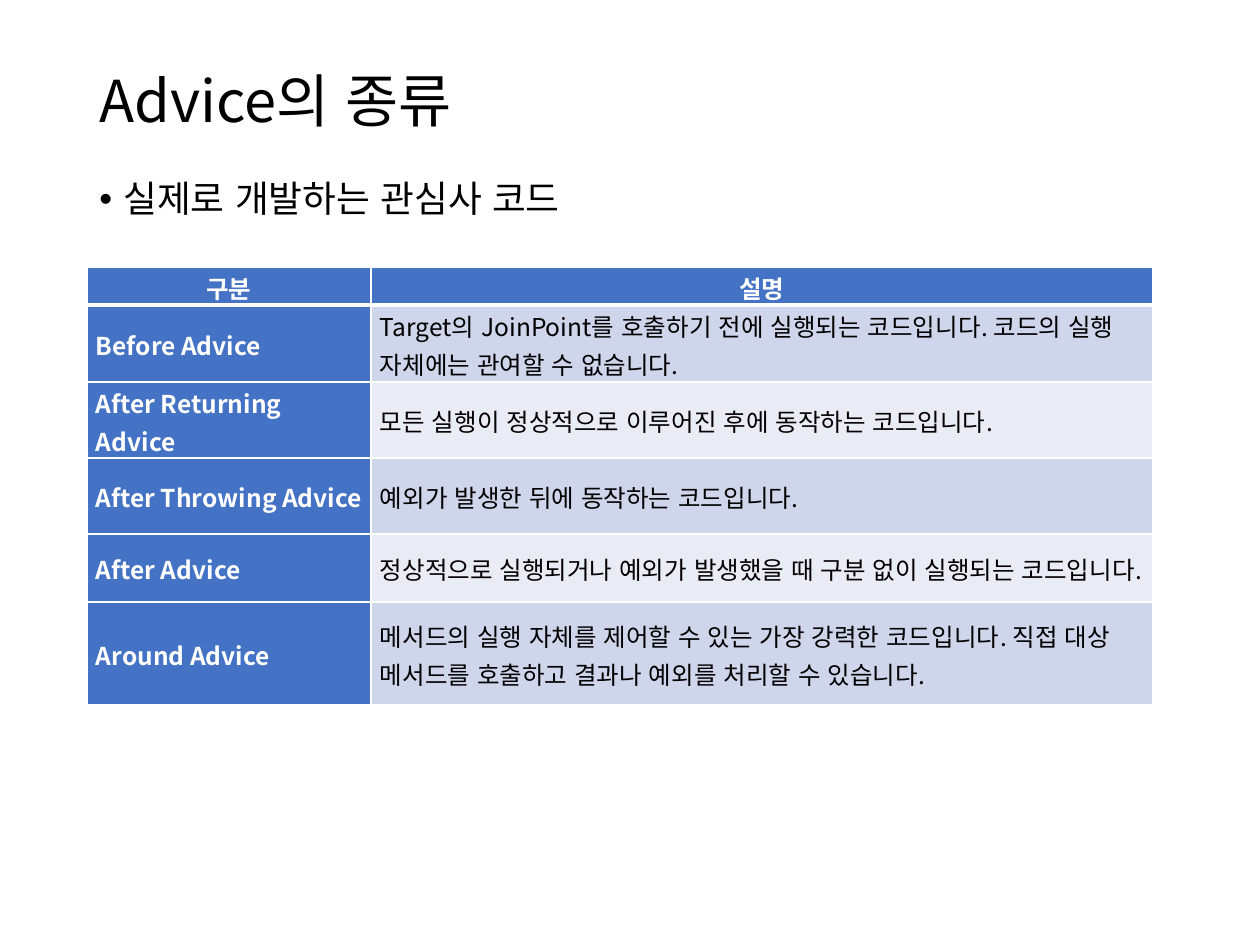
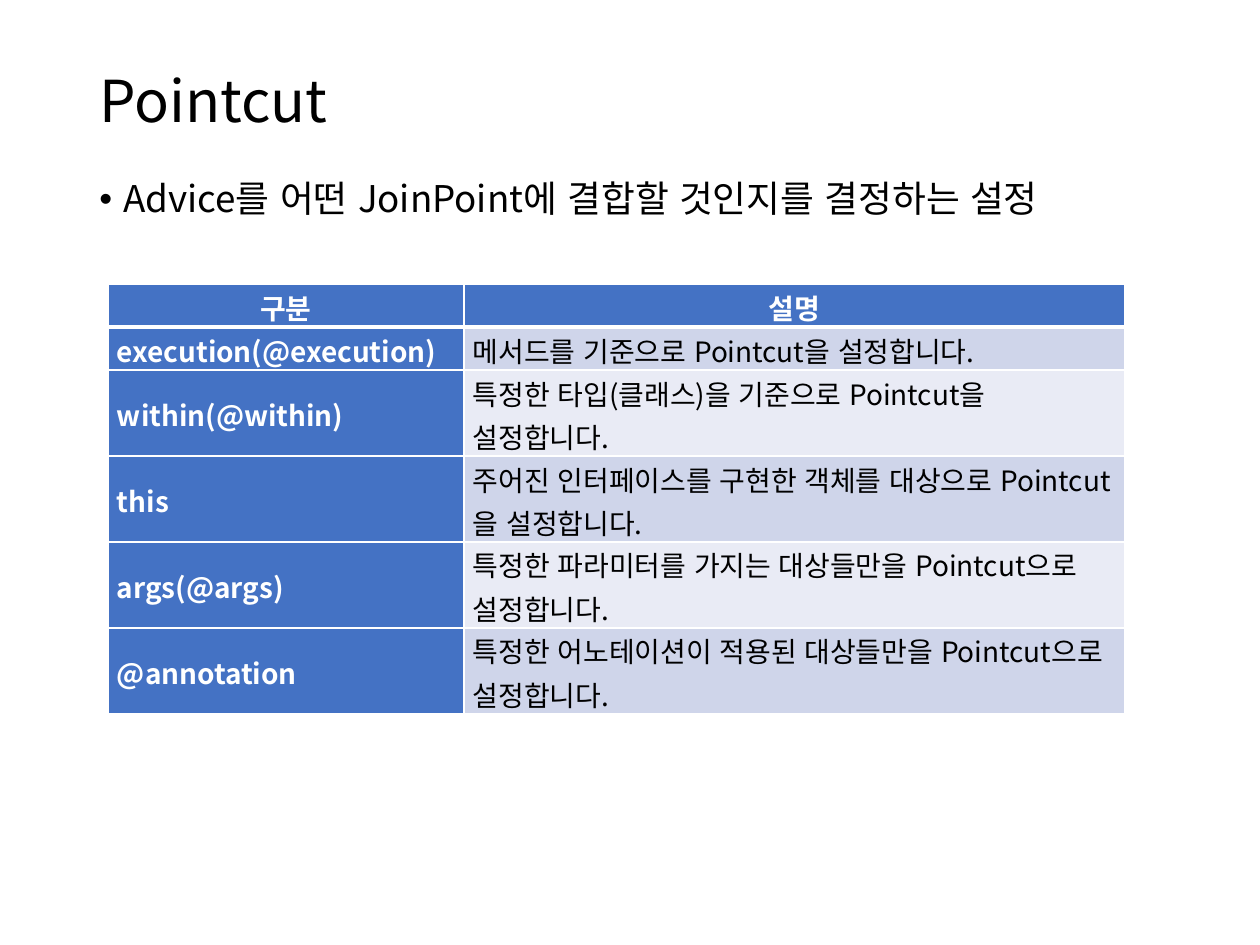
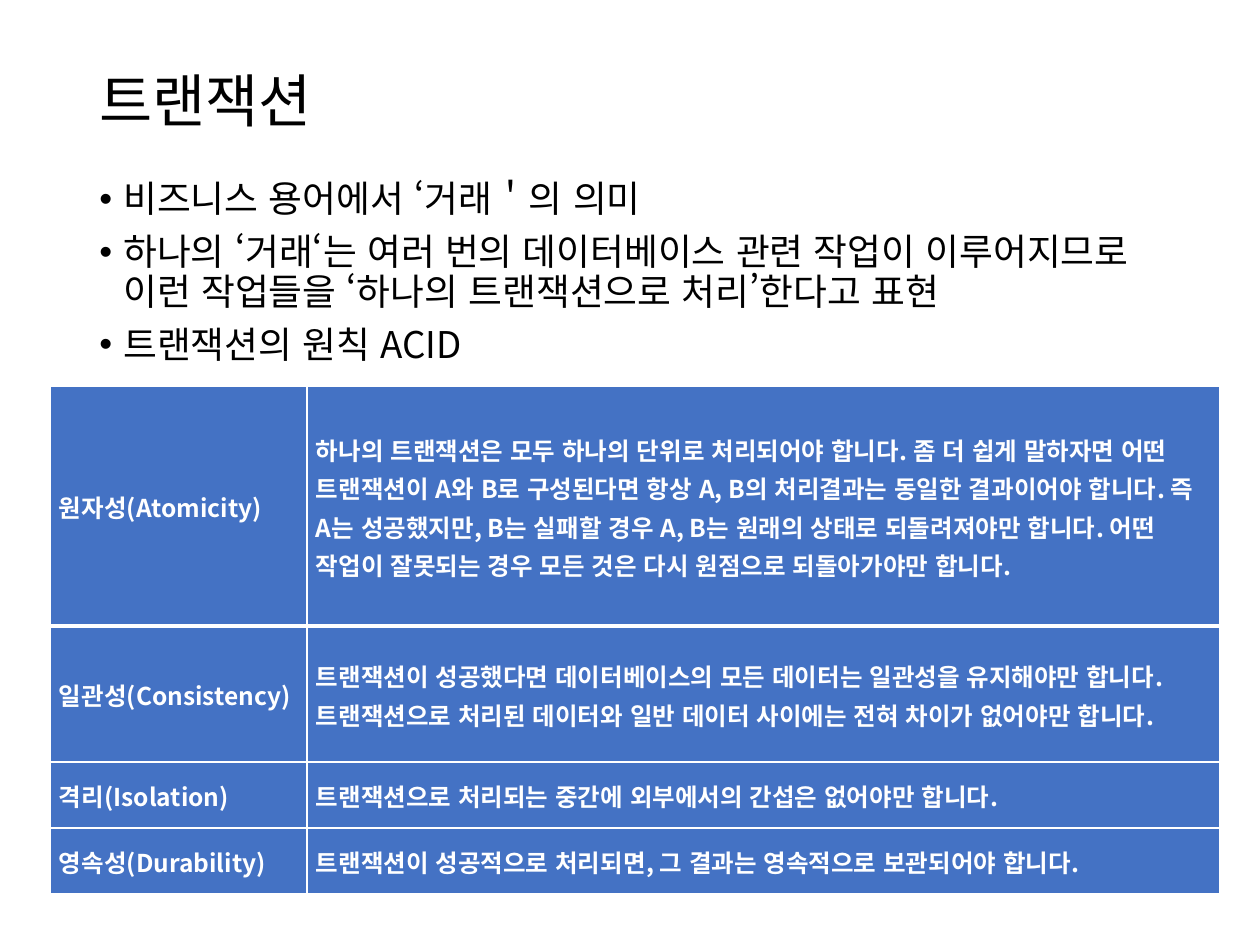
from pptx import Presentation
from pptx.dml.color import RGBColor as Rgb
from pptx.enum.lang import MSO_LANGUAGE_ID as Lang
from pptx.enum.text import MSO_ANCHOR as Anchor, PP_ALIGN as Align
from pptx.oxml.ns import qn
from pptx.util import Emu, Pt
from lxml.etree import SubElement as Sub

FONT = "Noto Sans CJK KR"
HUES = {"ink": "000000", "white": "FFFFFF", "blue": "4472C4",
        "odd": "CFD5EA", "even": "E9EBF5"}
TITLE = (87, 50, 1086, 107)
BODY = (87, 175, 1086, 677)
HEAD = ("구분", "설명")


def px(num):
    return Emu(round(num * 914400 / 126))


def hue(name):
    return Rgb.from_string(HUES[name])


def add_run(para, text, size, color="ink", bold=False):
    run = para.add_run()
    run.text = text
    font = run.font
    font.size, font.bold, font.name = Pt(size), bold, FONT
    font.color.rgb = hue(color)
    font.language_id = Lang.KOREAN
    Sub(font._element, qn("a:ea"), typeface=FONT)


def add_box(slide, box, anchor):
    frame = slide.shapes.add_textbox(*map(px, box)).text_frame
    frame.word_wrap = True
    frame.vertical_anchor = anchor
    return frame


def add_title(slide, box, text):
    para = add_box(slide, box, Anchor.MIDDLE).paragraphs[0]
    para.line_spacing = 0.9
    add_run(para, text, 33)


def add_list(slide, box, items):
    frame = add_box(slide, box, Anchor.TOP)
    for num, item in enumerate(items):
        para = frame.add_paragraph() if num else frame.paragraphs[0]
        para.line_spacing = 0.9
        para.space_before = Pt(7.5)
        props = para._p.get_or_add_pPr()
        props.set("marL", str(px(24)))
        props.set("indent", str(px(-24)))
        Sub(props, qn("a:buFont"), typeface="Arial")
        Sub(props, qn("a:buChar"), char="•")
        add_run(para, item, 21)


def add_edge(props, side, width):
    line = Sub(props, qn(f"a:ln{side}"), w=str(Pt(width)))
    fill = Sub(line, qn("a:solidFill"))
    Sub(fill, qn("a:srgbClr"), val=HUES["white"])


def fill_cell(cell, text, size, color, back, row, align):
    cell.margin_left = cell.margin_right = px(9)
    cell.margin_top = cell.margin_bottom = 0
    cell.vertical_anchor = Anchor.MIDDLE
    props = cell._tc.get_or_add_tcPr()
    widths = {"L": 1, "R": 1, "T": 3 if row == 1 else 1, "B": 1 if row else 3}
    for side, width in widths.items():
        add_edge(props, side, width)
    cell.fill.solid()
    cell.fill.fore_color.rgb = hue(back)
    para = cell.text_frame.paragraphs[0]
    para.line_spacing = 1.07
    para.alignment = align
    add_run(para, text, size, color, color == "white")


def add_grid(slide, spot, cols, highs, rows, size, plain=False):
    box = (*spot, sum(cols), sum(highs))
    grid = slide.shapes.add_table(len(rows), len(cols), *map(px, box)).table
    for col, width in zip(grid.columns, cols):
        col.width = px(width)
    for line, high in zip(grid.rows, highs):
        line.height = px(high)
    for r, row in enumerate(rows):
        for c, text in enumerate(row):
            light = r and c and not plain
            back = ("odd" if r % 2 else "even") if light else "blue"
            align = Align.LEFT if r or plain else Align.CENTER
            fill_cell(grid.cell(r, c), text, size,
                      "ink" if light else "white", back, r, align)


def add_page(deck, title, items, **grid):
    slide = deck.slides.add_slide(deck.slide_layouts[6])
    add_title(slide, TITLE, title)
    add_list(slide, BODY, items)
    add_grid(slide, **grid)


ADVICE = [
    HEAD,
    ("Before Advice", "Target의 JoinPoint를 호출하기 전에 실행되는 코드입니다. 코드의 실행 자체에는 관여할 수 없습니다."),
    ("After Returning Advice", "모든 실행이 정상적으로 이루어진 후에 동작하는 코드입니다."),
    ("After Throwing Advice", "예외가 발생한 뒤에 동작하는 코드입니다."),
    ("After Advice", "정상적으로 실행되거나 예외가 발생했을 때 구분 없이 실행되는 코드입니다."),
    ("Around Advice", "메서드의 실행 자체를 제어할 수 있는 가장 강력한 코드입니다. 직접 대상 메서드를 호출하고 결과나 예외를 처리할 수 있습니다."),
]
CUTS = [
    HEAD,
    ("execution(@execution)", "메서드를 기준으로 Pointcut을 설정합니다."),
    ("within(@within)", "특정한 타입(클래스)을 기준으로 Pointcut을 설정합니다."),
    ("this", "주어진 인터페이스를 구현한 객체를 대상으로 Pointcut을 설정합니다."),
    ("args(@args)", "특정한 파라미터를 가지는 대상들만을 Pointcut으로 설정합니다."),
    ("@annotation", "특정한 어노테이션이 적용된 대상들만을 Pointcut으로 설정합니다."),
]
ACID = [
    ("원자성(Atomicity)", "하나의 트랜잭션은 모두 하나의 단위로 처리되어야 합니다. 좀 더 쉽게 말하자면 어떤 트랜잭션이 A와 B로 구성된다면 항상 A, B의 처리결과는 동일한 결과이어야 합니다. 즉 A는 성공했지만, B는 실패할 경우 A, B는 원래의 상태로 되돌려져야만 합니다. 어떤 작업이 잘못되는 경우 모든 것은 다시 원점으로 되돌아가야만 합니다."),
    ("일관성(Consistency)", "트랜잭션이 성공했다면 데이터베이스의 모든 데이터는 일관성을 유지해야만 합니다. 트랜잭션으로 처리된 데이터와 일반 데이터 사이에는 전혀 차이가 없어야만 합니다."),
    ("격리(Isolation)", "트랜잭션으로 처리되는 중간에 외부에서의 간섭은 없어야만 합니다."),
    ("영속성(Durability)", "트랜잭션이 성공적으로 처리되면, 그 결과는 영속적으로 보관되어야 합니다."),
]


def main():
    deck = Presentation()
    deck.slide_width, deck.slide_height = px(1260), px(945)
    add_page(deck, "Advice의 종류", ["실제로 개발하는 관심사 코드"],
             spot=(87, 267), cols=(284, 782),
             highs=(38, 77, 76, 76, 68, 103), rows=ADVICE, size=14)
    add_page(deck, "Pointcut",
             ["Advice를 어떤 JoinPoint에 결합할 것인지를 결정하는 설정"],
             spot=(108, 284), cols=(356, 661),
             highs=(43, 43, 86, 86, 86, 86), rows=CUTS, size=16)
    add_page(deck, "트랜잭션",
             ["비즈니스 용어에서 ‘거래＇의 의미",
              "하나의 ‘거래‘는 여러 번의 데이터베이스 관련 작업이 이루어지므로 이런 작업들을 ‘하나의 트랜잭션으로 처리’한다고 표현",
              "트랜잭션의 원칙 ACID"],
             spot=(50, 386), cols=(257, 913),
             highs=(240, 136, 66, 66), rows=ACID, size=14, plain=True)
    deck.save("out.pptx")


if __name__ == "__main__":
    main()
